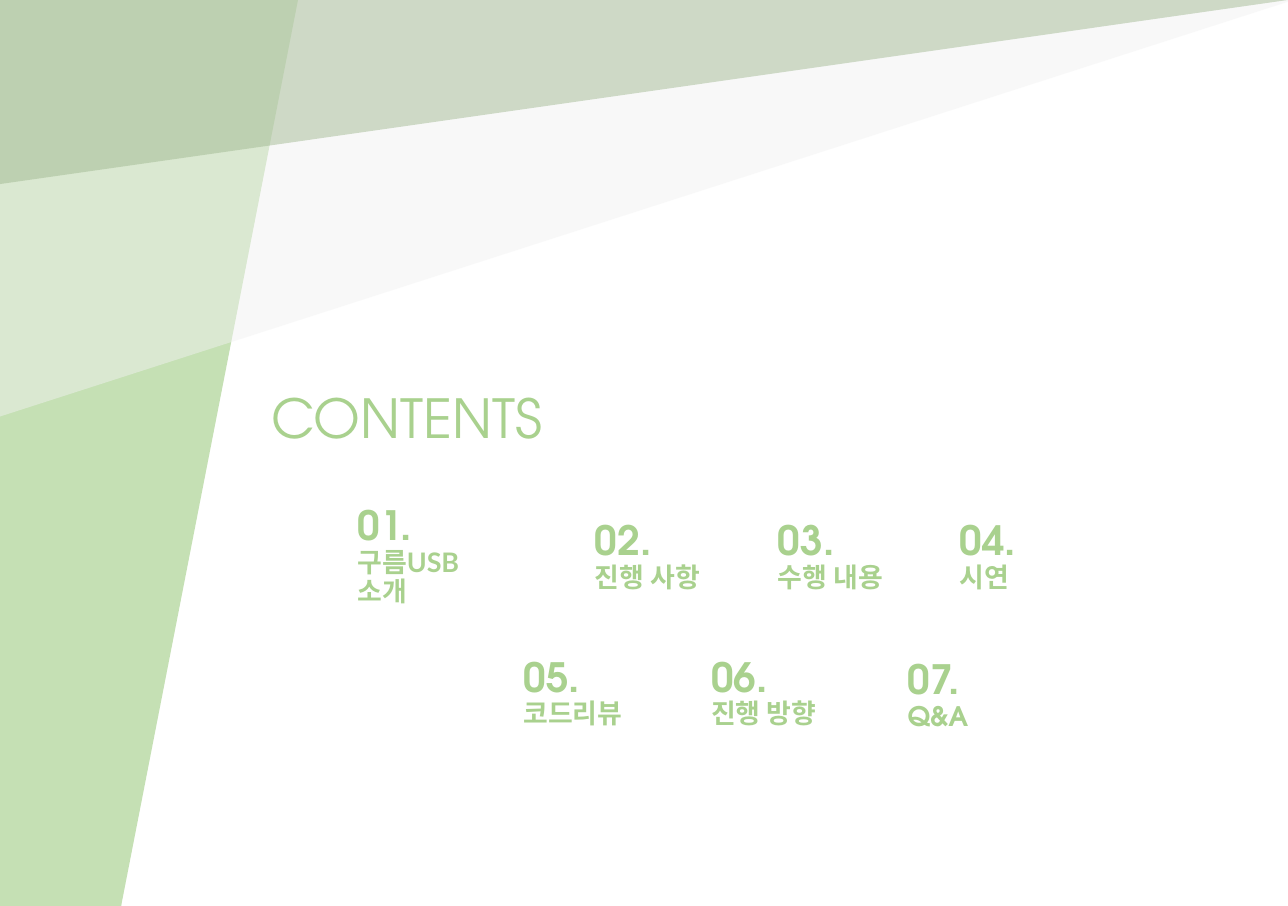
"""Build the green contents slide with seven numbered topics."""
from lxml import etree
from pptx import Presentation
from pptx import util as u
from pptx.dml.color import RGBColor
from pptx.enum import shapes, text
from pptx.oxml.ns import qn

LIGHT_GREEN = RGBColor(0xC5, 0xE0, 0xB4)
DARK_GREEN = RGBColor(0x54, 0x82, 0x35)
PALE_GREY = RGBColor(0xF2, 0xF2, 0xF2)
TEXT_GREEN = RGBColor(0xA9, 0xD1, 0x8E)
HEAD_FONT, MIXED_FONT = "TeX Gyre Adventor", "Lato"

PAGE_WIDTH, PAGE_HEIGHT = 10.63, 7.48
RECTANGLE = shapes.MSO_SHAPE.RECTANGLE
TRIANGLE = shapes.MSO_SHAPE.RIGHT_TRIANGLE
BANDS = [
    (RECTANGLE, (0, 0, 1, PAGE_HEIGHT), LIGHT_GREEN, 100),
    (TRIANGLE, (1, 0, 1.46, PAGE_HEIGHT), LIGHT_GREEN, 100),
    (TRIANGLE, (0, 0, PAGE_WIDTH, 1.52), DARK_GREEN, 47),
    (TRIANGLE, (0, -0.02, 10.74, 3.46), PALE_GREY, 47),
]

TITLE = "CONTENTS"
TOPIC_HEIGHT = 0.61
TOPICS = [
    ("구름USB\v소개", 2.95, 4.29, 1.37, MIXED_FONT),
    ("진행 사항", 4.91, 4.29, 0.96, HEAD_FONT),
    ("수행 내용", 6.42, 4.29, 0.96, HEAD_FONT),
    ("시연", 7.92, 4.29, 0.6, HEAD_FONT),
    ("코드리뷰", 4.32, 5.42, 0.9, HEAD_FONT),
    ("진행 방향", 5.87, 5.42, 0.96, HEAD_FONT),
    ("Q&A", 7.49, 5.44, 0.6, HEAD_FONT),
]
TOPIC_FRAME = {
    "word_wrap": True,
    "vertical_anchor": text.MSO_ANCHOR.MIDDLE,
    "margin_left": 0,
    "margin_top": 0,
    "margin_right": 0,
    "margin_bottom": 0,
}


def apply(target, values):
    for name, value in values.items():
        setattr(target, name, value)


def add_band(slide, preset, place, colour, opacity):
    band = slide.shapes.add_shape(preset, *map(u.Inches, place))
    band.shadow.inherit = False
    band.line.fill.background()
    band.fill.solid()
    band.fill.fore_color.rgb = colour
    properties = band._element.spPr
    if preset == TRIANGLE:
        properties.get_or_add_xfrm().set("flipV", "1")
    if opacity < 100:
        tint = properties.find(".//" + qn("a:srgbClr"))
        etree.SubElement(tint, qn("a:alpha")).set("val", str(opacity * 1000))


def add_words(slide, place, lines, frame_values, spacing):
    frame = slide.shapes.add_textbox(*map(u.Inches, place)).text_frame
    apply(frame, frame_values)
    for index, (words, size, font, bold) in enumerate(lines):
        paragraph = frame.add_paragraph() if index else frame.paragraphs[0]
        paragraph.line_spacing = spacing
        paragraph.text = words
        for run in paragraph.runs:
            apply(run.font, {"size": u.Pt(size), "name": font, "bold": bold})
            run.font.color.rgb = TEXT_GREEN


def main():
    deck = Presentation()
    apply(deck, {"slide_width": u.Inches(PAGE_WIDTH), "slide_height": u.Inches(PAGE_HEIGHT)})
    slide = deck.slides.add_slide(deck.slide_layouts[6])
    for band in BANDS:
        add_band(slide, *band)
    add_words(slide, (2.14, 3.13, 2.47, 0.64), [(TITLE, 32, HEAD_FONT, False)],
              {"word_wrap": False}, 1.0)
    for number, (label, left, top, width, font) in enumerate(TOPICS, 1):
        lines = [(f"{number:02}.", 24, HEAD_FONT, True), (label, 16, font, True)]
        add_words(slide, (left, top, width, TOPIC_HEIGHT), lines, TOPIC_FRAME, 0.9)
    deck.save("out.pptx")


if __name__ == "__main__":
    main()
